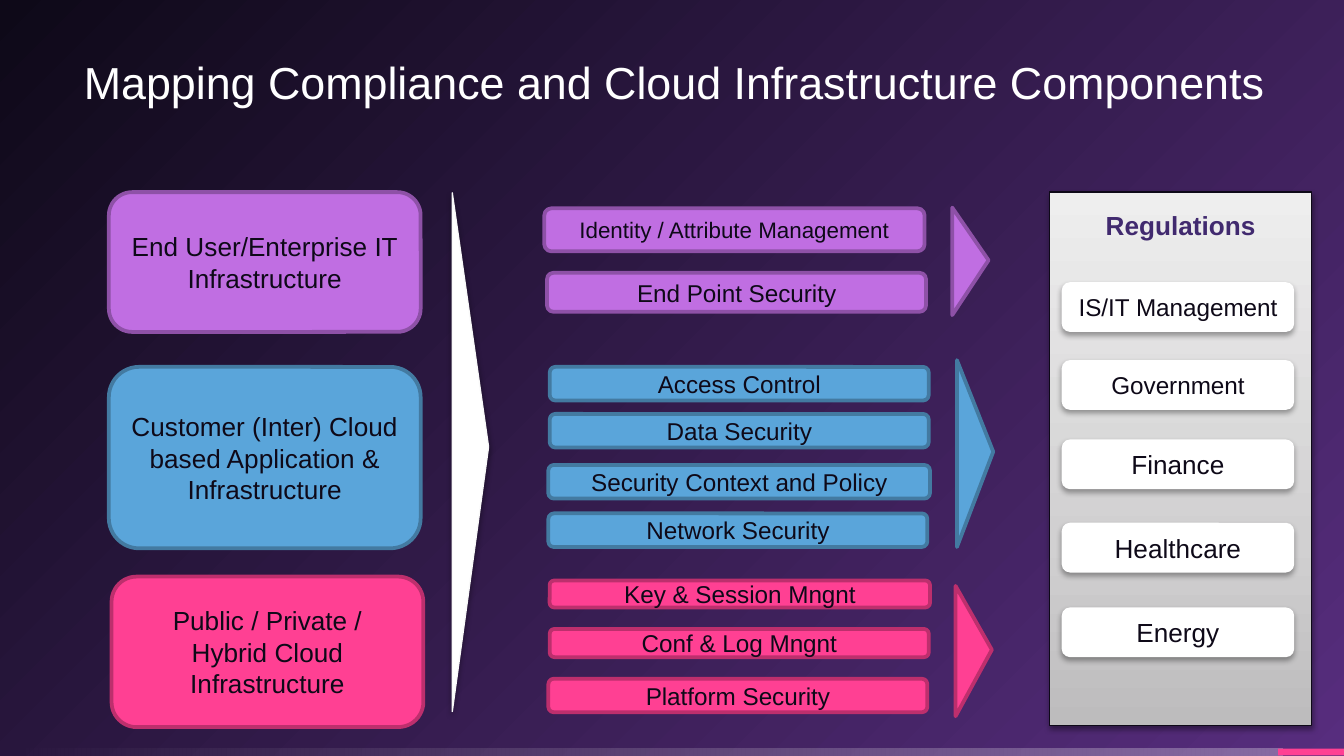
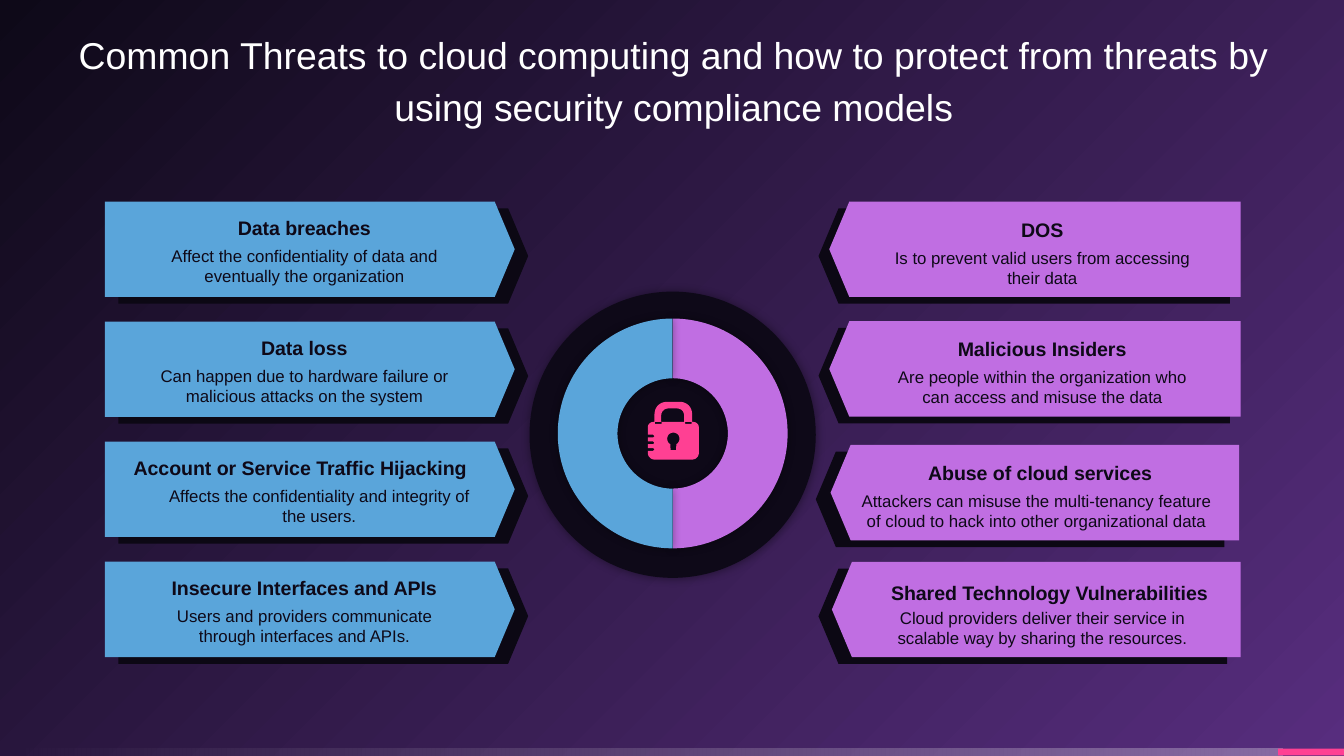
import math
from dataclasses import dataclass

import lxml.etree
import pptx
import pptx.dml.color
import pptx.enum.shapes
import pptx.enum.text
import pptx.oxml.ns
import pptx.util

SHAPE = pptx.enum.shapes.MSO_SHAPE
ANCHOR = pptx.enum.text.MSO_ANCHOR
CENTER = pptx.enum.text.PP_ALIGN.CENTER
WIDTH = pptx.util.Inches(10)
HEIGHT = WIDTH * 9 // 16
GRID = WIDTH // 100


@dataclass(frozen=True)
class Theme:
    font: str = "Arial"
    ink: str = "0E0918"
    plate_shade: str = "0C0814"
    white: str = "FFFFFF"
    white_edge: str = "F9F9F9"
    heading: str = "412A6F"
    purple: str = "C06EE2"
    purple_edge: str = "8E51A7"
    blue: str = "5AA5DA"
    blue_edge: str = "437AA1"
    pink: str = "FF4093"
    pink_edge: str = "BD2F6D"
    background: tuple = ((0, "572D7E", 100), (100, "0E0918", 100))
    band: tuple = ((0, "FFFFFF", 30), (100, "FFFFFF", 0))
    panel: tuple = ((0, "BDBCBD", 100), (35, "D1D0D1", 100), (100, "EEEEEE", 100))
    panel_shadow: tuple = (38, 3.1, 1.6, 90)
    pill_shadow: tuple = (35, 3.1, 1.8, 90)
    ring_shadow: tuple = (40, 5, 0, 0)
    large: float = 14
    medium: float = 13
    small: float = 12
    card_title: float = 10.5
    card_body: float = 9


THEME = Theme()


@dataclass(frozen=True)
class Tier:
    fill: str
    edge: str
    stage: str
    stage_box: tuple
    components: tuple
    pointer_box: tuple


TIERS = (
    Tier(THEME.purple, THEME.purple_edge, "End User/Enterprise IT Infrastructure",
         (8.1, 14.3, 23.2, 10.4),
         (("Identity / Attribute Management", (40.5, 15.5, 28.3, 3.2), THEME.small),
          ("End Point Security", (40.7, 20.3, 28.2, 2.9), THEME.medium)),
         (70.85, 15.45, 2.7, 8)),
    Tier(THEME.blue, THEME.blue_edge, "Customer (Inter) Cloud based Application & Infrastructure",
         (8.1, 27.3, 23.2, 13.5),
         (("Access Control", (40.9, 27.3, 28.2, 2.5), THEME.medium),
          ("Data Security", (40.9, 30.8, 28.2, 2.5), THEME.medium),
          ("Security Context and Policy", (40.8, 34.6, 28.4, 2.5), THEME.medium),
          ("Network Security", (40.8, 38.2, 28.2, 2.5), THEME.medium)),
         (71.2, 26.8, 2.7, 13.9)),
    Tier(THEME.pink, THEME.pink_edge, "Public / Private / Hybrid Cloud Infrastructure",
         (8.3, 42.9, 23.2, 11.2),
         (("Key & Session Mngnt", (40.9, 43.2, 28.3, 2), THEME.medium),
          ("Conf & Log Mngnt", (40.9, 46.8, 28.2, 2.1), THEME.medium),
          ("Platform Security", (40.8, 50.5, 28.2, 2.5), THEME.medium)),
         (71.1, 43.6, 2.7, 9.7)),
)

REGULATIONS = (
    ("IS/IT Management", 21, THEME.medium),
    ("Government", 26.8, THEME.medium),
    ("Finance", 32.7, THEME.large),
    ("Healthcare", 38.9, THEME.large),
    ("Energy", 45.2, THEME.large),
)


@dataclass(frozen=True)
class Card:
    title: str
    body: str
    plate_box: tuple
    title_box: tuple
    body_box: tuple
    shade_shift: float
    fill: str
    turn: int


def left_card(title, body, row, title_span=(10.1, 25.1), body_left=10.1):
    top = 15 + 8.93 * row
    return Card(title, body, (7.8, top, 30.5, 7.1),
                (title_span[0], top + 0.6, title_span[1], 2.1),
                (body_left, top + 2.8, 25.1, 3.9), 1, THEME.blue, 0)


def right_card(title, body, top, plate=(61.7, 30.6), shade_shift=-0.8,
               title_span=(65, 25.1), body_span=(65, 25.1), drop=0.7):
    return Card(title, body, (plate[0], top, plate[1], 7.1),
                (title_span[0], top + drop, title_span[1], 2.1),
                (body_span[0], top + 2.9, body_span[1], 3.9),
                shade_shift, THEME.purple, 180)


CARDS = (
    left_card("Data breaches",
              "Affect the confidentiality of data and eventually the organization", 0),
    left_card("Data loss",
              "Can happen due to hardware failure or malicious attacks on the system", 1),
    left_card("Account or Service Traffic Hijacking",
              "Affects the confidentiality and integrity of the users.", 2, (8.6, 27.5), 11.2),
    left_card("Insecure Interfaces and APIs",
              "Users and providers communicate through interfaces and APIs.", 3),
    right_card("DOS", "Is to prevent valid users from accessing their data", 15),
    right_card("Malicious Insiders",
               "Are people within the organization who can access and misuse the data", 23.9),
    right_card("Abuse of cloud services",
               "Attackers can misuse the multi-tenancy feature of cloud to hack into other "
               "organizational data", 33.1, (61.8, 30.4), -1.1, (63.3, 28.2), (63, 28.2)),
    right_card("Shared Technology Vulnerabilities",
               "Cloud providers deliver their service in scalable way by sharing the resources.",
               41.8, (61.9, 30.4), -1, (65, 26.2), drop=0.9),
)


def on_grid(box):
    return [round(value * GRID) for value in box]


def rgb(colour):
    return pptx.dml.color.RGBColor.from_string(colour)


def add_xml(parent, tag, **attributes):
    values = {name: str(value) for name, value in attributes.items()}
    return lxml.etree.SubElement(parent, pptx.oxml.ns.qn(tag), values)


def add_colour(parent, colour, opacity):
    element = add_xml(parent, "a:srgbClr", val=colour)
    if opacity < 100:
        add_xml(element, "a:alpha", val=opacity * 1000)


def set_gradient(fill, element, stops, angle=None):
    fill.gradient()
    gradient = element.find(".//" + pptx.oxml.ns.qn("a:gradFill"))
    for child in list(gradient):
        gradient.remove(child)
    stop_list = add_xml(gradient, "a:gsLst")
    for position, colour, opacity in stops:
        add_colour(add_xml(stop_list, "a:gs", pos=position * 1000), colour, opacity)
    if angle is None:
        circle = add_xml(gradient, "a:path", path="circle")
        add_xml(circle, "a:fillToRect", l=100000, t=100000)
        add_xml(gradient, "a:tileRect", r=-100000, b=-100000)
    else:
        add_xml(gradient, "a:lin", ang=angle * 60000, scaled=0)


def set_shadow(shape, opacity, blur, distance, direction):
    effects = shape.element.find(".//" + pptx.oxml.ns.qn("a:effectLst"))
    shadow = add_xml(effects, "a:outerShdw", blurRad=pptx.util.Pt(blur),
                     dist=pptx.util.Pt(distance), dir=direction * 60000, rotWithShape=0)
    add_colour(shadow, "000000", opacity)


def paint(shape, fill, edge=None, edge_width=2, shadow=None):
    shape.shadow.inherit = False
    if isinstance(fill, str):
        shape.fill.solid()
        shape.fill.fore_color.rgb = rgb(fill)
    if edge:
        shape.line.color.rgb = rgb(edge)
        shape.line.width = pptx.util.Pt(edge_width)
    else:
        shape.line.fill.background()
    if shadow:
        set_shadow(shape, *shadow)


def add_block(shapes, kind, box, fill, **look):
    shape = shapes.add_shape(kind, *on_grid(box))
    paint(shape, fill, **look)
    return shape


def write(shape, text, size, colour=THEME.ink, bold=False):
    shape.text_frame.word_wrap = True
    paragraph = shape.text_frame.paragraphs[0]
    paragraph.text = text
    paragraph.alignment = CENTER
    paragraph.font.name = THEME.font
    paragraph.font.size = pptx.util.Pt(size)
    paragraph.font.bold = bold
    paragraph.font.color.rgb = rgb(colour)
    return paragraph


def add_label(shapes, box, text, size, bold=False):
    write(shapes.add_textbox(*on_grid(box)), text, size, bold=bold)


def add_pointer(shapes, box, fill, **look):
    left, top, width, height = box
    shift = (height - width) / 2
    pointer = add_block(shapes, SHAPE.ISOSCELES_TRIANGLE,
                        (left - shift, top + shift, height, width), fill, **look)
    pointer.rotation = 90
    pointer.adjustments[0] = 0.49


def add_card(slide, card):
    shapes = slide.shapes.add_group_shape().shapes
    left, top, width, height = card.plate_box
    shade_box = (left + card.shade_shift, top + 0.5, width, height)
    for box, fill in ((shade_box, THEME.plate_shade), (card.plate_box, card.fill)):
        plate = add_block(shapes, SHAPE.PENTAGON, box, fill)
        plate.adjustments[0] = 0.21
        plate.rotation = card.turn
    add_label(shapes, card.title_box, card.title, THEME.card_title, True)
    add_label(shapes, card.body_box, card.body, THEME.card_body)


def add_half_ring(slide, fill, turn):
    ring = add_block(slide.shapes, SHAPE.BLOCK_ARC, (41.5, 23.7, 17.1, 17.1), fill,
                     shadow=THEME.ring_shadow)
    ring.rotation = turn
    for index, value in enumerate((108, 215.91, 0.26)):
        ring.adjustments[index] = value


def arc(x, y, radius, start, end, steps=8):
    angles = [math.radians(start + (end - start) * step / steps) for step in range(steps + 1)]
    return [(x + radius * math.cos(angle), y + radius * math.sin(angle)) for angle in angles]


def add_padlock(slide):
    notches = [(x, y + rise) for y in (24.5, 29.5, 34.5)
               for x, rise in ((0, 0), (4, 0), (5, 1), (4, 2), (0, 2))]
    outline = [(33, 15), *arc(24, 9, 9, 0, -90), *arc(14, 9, 9, -90, -180), (5, 15),
               *arc(4, 19, 4, -90, -180), *notches, *arc(5, 38, 5, 180, 90),
               *arc(33, 38, 5, 90, 0), *arc(34, 19, 4, 0, -90)]
    shackle_gap = [(10, 15), *arc(15, 10, 5, 180, 270), *arc(22, 10, 5, 270, 360), (27, 15)]
    keyhole = [*arc(19, 27.5, 4.6, 120, 420, 20), (21, 36), (17, 36)]
    slots = [[(x, 15), (x + 5, 15), (x + 5, 16.5), (x, 16.5)] for x in (5.2, 27.7)]
    builder = None
    for contour in (outline, shackle_gap, keyhole, *slots):
        points = [(round(x * 10), round(y * 10)) for x, y in contour]
        if builder is None:
            builder = slide.shapes.build_freeform(*points[0], scale=GRID / 100)
        else:
            builder.move_to(*points[0])
        builder.add_line_segments(points[1:], close=True)
    paint(builder.convert_to_shape(*on_grid((48.2, 29.9))), THEME.pink)


def prepare_layout(presentation):
    layout = presentation.slide_layouts.get_by_name("Title Only")
    for placeholder in list(layout.placeholders):
        if placeholder.placeholder_format.idx:
            layout.shapes.element.remove(placeholder.element)
    title = layout.placeholders[0]
    title.left, title.top, title.width, title.height = on_grid((2.7, 2.8, 94.9, 5.9))
    master = presentation.slide_master
    set_gradient(master.background.fill, master.element, THEME.background)
    return layout


def add_footer(slide, master):
    band = add_block(slide.shapes, SHAPE.RECTANGLE, (0, 55.7, 95.4, 0.5), None)
    set_gradient(band.fill, band.element, THEME.band, 180)
    accent = add_block(slide.shapes, SHAPE.RECTANGLE, (95.1, 55.7, 4.9, 0.5), THEME.pink)
    for shape in (band, accent):
        master.shapes.element.append(shape.element)


def add_titled_slide(presentation, layout, text, size):
    slide = presentation.slides.add_slide(layout)
    frame = slide.shapes.title.text_frame
    frame.margin_left = frame.margin_right = frame.margin_top = frame.margin_bottom = 0
    frame.vertical_anchor = ANCHOR.MIDDLE
    frame.auto_size = pptx.enum.text.MSO_AUTO_SIZE.NONE
    write(slide.shapes.title, text, size, THEME.white).line_spacing = 1.15
    return slide


def add_regulations(slide):
    panel = add_block(slide.shapes, SHAPE.RECTANGLE, (78.1, 14.3, 19.5, 39.7), None,
                      edge=THEME.ink, edge_width=0.75, shadow=THEME.panel_shadow)
    set_gradient(panel.fill, panel.element, THEME.panel, 270)
    panel.text_frame.vertical_anchor = ANCHOR.TOP
    panel.text_frame.margin_top = round(1.3 * GRID)
    write(panel, "Regulations", THEME.large, THEME.heading, True)
    for text, top, size in REGULATIONS:
        pill = add_block(slide.shapes, SHAPE.ROUNDED_RECTANGLE, (79, top, 17.3, 3.7),
                         THEME.white, shadow=THEME.pill_shadow)
        write(pill, text, size)


def fill_mapping(slide):
    for tier in TIERS:
        for text, box, size in ((tier.stage, tier.stage_box, THEME.large), *tier.components):
            block = add_block(slide.shapes, SHAPE.ROUNDED_RECTANGLE, box, tier.fill,
                              edge=tier.edge)
            write(block, text, size)
        add_pointer(slide.shapes, tier.pointer_box, tier.fill, edge=tier.edge)
    add_pointer(slide.shapes, (33.65, 14.35, 2.7, 38.6), THEME.white,
                edge=THEME.white_edge, edge_width=0.75, shadow=THEME.panel_shadow)
    add_regulations(slide)


def fill_threats(slide):
    add_block(slide.shapes, SHAPE.OVAL, (39.4, 21.7, 21.3, 21.3), THEME.ink,
              shadow=THEME.ring_shadow)
    add_half_ring(slide, THEME.purple, 90)
    add_half_ring(slide, THEME.blue, 270)
    for card in CARDS:
        add_card(slide, card)
    add_padlock(slide)


def main():
    presentation = pptx.Presentation()
    presentation.slide_width, presentation.slide_height = WIDTH, HEIGHT
    layout = prepare_layout(presentation)
    mapping = add_titled_slide(presentation, layout,
                               "Mapping Compliance and Cloud Infrastructure Components", 24)
    add_footer(mapping, presentation.slide_master)
    fill_mapping(mapping)
    threats = add_titled_slide(presentation, layout,
                               "Common Threats to cloud computing and how to protect from "
                               "threats by using security compliance models", 20)
    fill_threats(threats)
    presentation.save("out.pptx")


if __name__ == "__main__":
    main()
